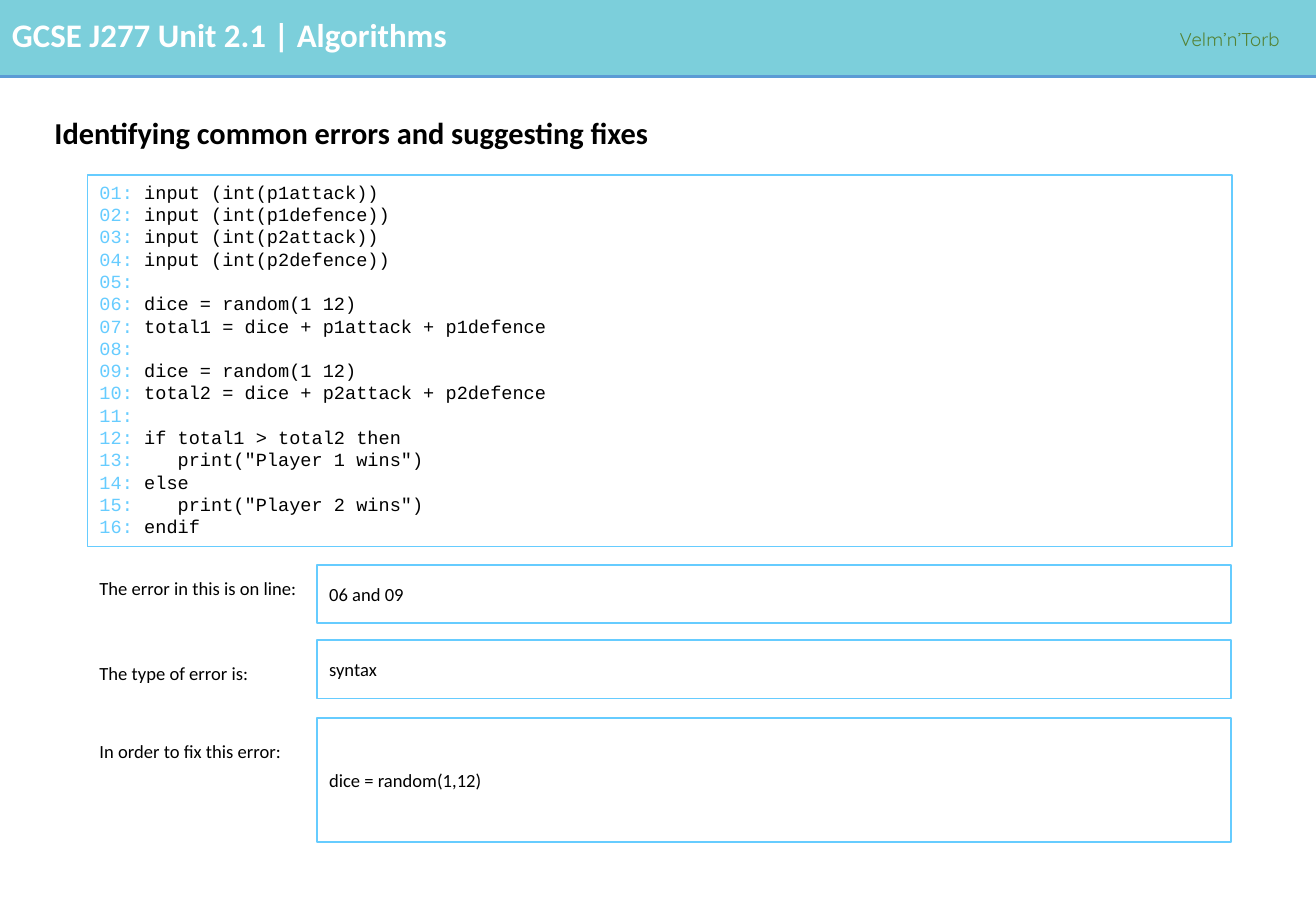
from pptx import Presentation
from pptx.dml.color import RGBColor
from pptx.enum.shapes import MSO_CONNECTOR as Connector, MSO_SHAPE as Shape
from pptx.enum.text import MSO_ANCHOR as Anchor, PP_ALIGN as Align
from pptx.oxml.ns import qn
from pptx.util import Inches, Pt
from lxml import etree

WIDTH, HEIGHT = 10.83, 7.5
HEADER_HEIGHT = 0.63
LABEL_LEFT, ANSWER_LEFT = 0.72, 2.61
BLACK, WHITE, SKY = "000000", "FFFFFF", "66CCFF"

CODE = """input (int(p1attack))
input (int(p1defence))
input (int(p2attack))
input (int(p2defence))

dice = random(1 12)
total1 = dice + p1attack + p1defence

dice = random(1 12)
total2 = dice + p2attack + p2defence

if total1 > total2 then
   print("Player 1 wins")
else
   print("Player 2 wins")
endif""".split("\n")

ANSWERS = [
    ("The error in this is on line:", 4.7, "06 and 09", 4.65, 0.48),
    ("The type of error is:", 5.4, "syntax", 5.27, 0.48),
    ("In order to fix this error:", 6.04, "dice = random(1,12)", 5.91, 1.02),
]


def color(value):
    return RGBColor.from_string(value)


def style_font(font, size, tint, name="Calibri", bold=False):
    font.name = name
    font.size = Pt(size)
    font.bold = bold
    font.color.rgb = color(tint)


def write(box, text, size, tint=BLACK, name="Calibri", bold=False):
    para = box.text_frame.paragraphs[0]
    para.text = text
    para.alignment = Align.LEFT
    style_font(para.runs[0].font, size, tint, name, bold)
    return para


def add_rectangle(page, left, top, width, height, fill=None, line=None):
    box = page.shapes.add_shape(Shape.RECTANGLE, Inches(left), Inches(top),
                                Inches(width), Inches(height))
    box.shadow.inherit = False
    if fill:
        box.fill.solid()
        box.fill.fore_color.rgb = color(fill)
    else:
        box.fill.background()
    if line:
        box.line.color.rgb = color(line)
        box.line.width = Pt(1)
    else:
        box.line.fill.background()
    return box


def add_text(page, left, top, width, height, text, size, tint=BLACK,
             name="Calibri", bold=False, wrap=True):
    box = page.shapes.add_textbox(Inches(left), Inches(top),
                                  Inches(width), Inches(height))
    box.text_frame.word_wrap = wrap
    write(box, text, size, tint, name, bold)
    return box


def add_rule(page, top, tint, weight):
    rule = page.shapes.add_connector(Connector.STRAIGHT, 0, Inches(top),
                                     Inches(WIDTH), Inches(top))
    rule.line.color.rgb = color(tint)
    rule.line.width = Pt(weight)
    etree.SubElement(rule._element.spPr, qn("a:effectLst"))


def add_header(page):
    add_rectangle(page, 0, 0, WIDTH, HEADER_HEIGHT, fill="7CCFDB")
    add_rule(page, HEADER_HEIGHT, "5B9BD5", 2.25)
    add_text(page, 0, 0.07, 9.48, 0.43, "GCSE J277 Unit 2.1 | Algorithms",
             19.5, WHITE, bold=True)
    credit = add_text(page, 9.61, 0.17, 1.22, 0.29, "Velm’n’Torb",
                      11, "548235", "Quicksand", wrap=False)
    para = credit.text_frame.paragraphs[0]
    para.line_spacing = 1.07
    para.space_after = Pt(8)


def add_title(page, text):
    title = add_text(page, 0.35, 0.83, 10.1, 0.56, text, 18, bold=True)
    title.text_frame.vertical_anchor = Anchor.MIDDLE
    title.text_frame.paragraphs[0].line_spacing = 0.9


def add_listing(page, lines):
    box = add_rectangle(page, LABEL_LEFT, 1.44, 9.42, 3.06, line=SKY)
    frame = box.text_frame
    frame.vertical_anchor = Anchor.TOP
    for number, line in enumerate(lines, 1):
        para = frame.paragraphs[0] if number == 1 else frame.add_paragraph()
        para.alignment = Align.LEFT
        parts = [(f"{number:02}: ", SKY), (line, BLACK)] if line else [(f"{number:02}:", SKY)]
        for text, tint in parts:
            span = para.add_run()
            span.text = text
            style_font(span.font, 11, tint, "Courier New")


def add_answer(page, label, label_top, answer, top, height):
    add_text(page, LABEL_LEFT, label_top, 1.9, 0.29, label, 11)
    box = add_rectangle(page, ANSWER_LEFT, top, 7.52, height, line=SKY)
    box.text_frame.vertical_anchor = Anchor.MIDDLE
    write(box, answer, 11)


def main():
    deck = Presentation()
    deck.slide_width, deck.slide_height = Inches(WIDTH), Inches(HEIGHT)
    page = deck.slides.add_slide(deck.slide_layouts[6])
    add_header(page)
    add_title(page, "Identifying common errors and suggesting fixes")
    add_listing(page, CODE)
    for answer in ANSWERS:
        add_answer(page, *answer)
    deck.save("out.pptx")


main()
